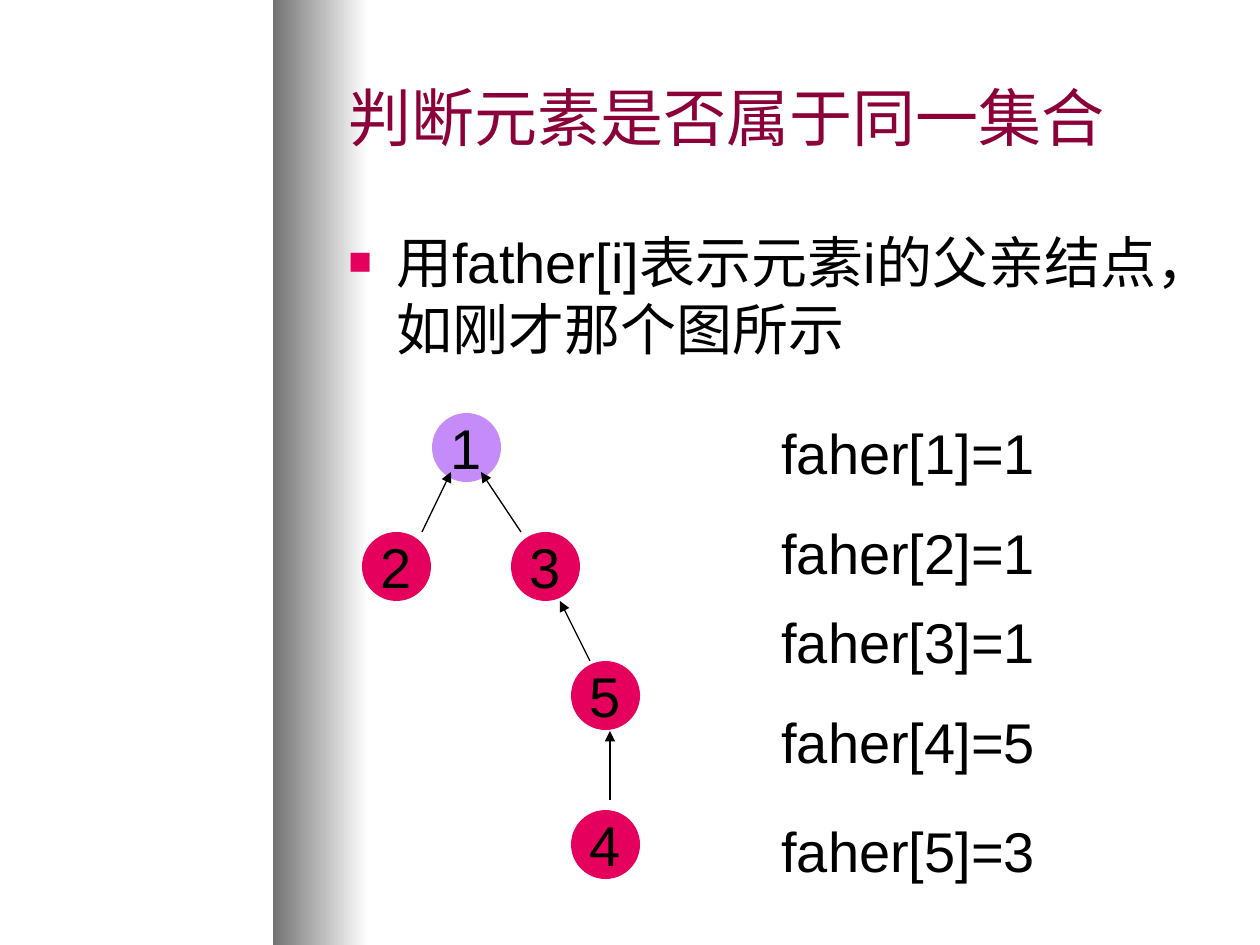
"""Build a slide on storing the parent of each element in a disjoint set."""
from lxml.etree import SubElement
from pptx import Presentation
from pptx.dml.color import RGBColor
from pptx.enum.shapes import MSO_CONNECTOR, MSO_SHAPE
from pptx.enum.text import MSO_ANCHOR, PP_ALIGN
from pptx.oxml.ns import qn
from pptx.util import Emu, Pt

TITLE = "判断元素是否属于同一集合"
BODY = "用father[i]表示元素i的父亲结点，如刚才那个图所示"
BLACK, WHITE, GRAY = "000000", "FFFFFF", "737373"
WINE, PINK, VIOLET = "8C0039", "E4005C", "C58BF9"
NODES = [
    ("1", 432, 413, VIOLET),
    ("2", 362, 532, PINK),
    ("3", 511, 532, PINK),
    ("5", 571, 661, PINK),
    ("4", 571, 810, PINK),
]
NODE_SIZE = 69
ARROWS = [
    (422, 532, 451, 472),
    (521, 532, 481, 472),
    (590, 661, 560, 601),
    (610, 800, 610, 731),
]
FACTS = [
    ("faher[1]=1", 412),
    ("faher[2]=1", 512),
    ("faher[3]=1", 601),
    ("faher[4]=5", 701),
    ("faher[5]=3", 810),
]
INDENT = 48


def px(length):
    return Emu(round(length * 914400 / 126))


def color(value):
    return RGBColor.from_string(value)


def set_all(target, values):
    for name, value in values.items():
        setattr(target, name, value)


def write(shape, text, size=32, ink=BLACK, indent=INDENT, frame=None, **paragraph_format):
    set_all(shape.text_frame, {"word_wrap": True, **(frame or {})})
    paragraph = shape.text_frame.paragraphs[0]
    set_all(paragraph, paragraph_format)
    properties = paragraph._p.get_or_add_pPr()
    properties.set("marL", str(px(indent)))
    properties.set("indent", str(-px(indent)))
    run = paragraph.add_run()
    run.text = text
    set_all(run.font, {"name": "Arial", "size": Pt(size)})
    run.font.color.rgb = color(ink)
    return properties


def add_box(slide, *bounds):
    return slide.shapes.add_textbox(*map(px, bounds))


def add_plain(slide, preset, *bounds):
    shape = slide.shapes.add_shape(preset, *map(px, bounds))
    shape.shadow.inherit = False
    shape.line.fill.background()
    return shape


def add_band(slide):
    fill = add_plain(slide, MSO_SHAPE.RECTANGLE, 273, 0, 95, 945).fill
    fill.gradient()
    fill.gradient_angle = 180
    for stop, position, value in zip(fill.gradient_stops, (0, 1), (WHITE, GRAY)):
        stop.position = position
        stop.color.rgb = color(value)


def add_bullet(properties):
    SubElement(SubElement(properties, qn("a:buClr")), qn("a:srgbClr"), val=PINK)
    SubElement(properties, qn("a:buSzPct"), val="70000")
    SubElement(properties, qn("a:buFont"), typeface="Arial")
    SubElement(properties, qn("a:buChar"), char="■")


def add_node(slide, label, left, top, value):
    shape = add_plain(slide, MSO_SHAPE.OVAL, left, top, NODE_SIZE, NODE_SIZE)
    shape.fill.solid()
    shape.fill.fore_color.rgb = color(value)
    frame = {"word_wrap": False, "vertical_anchor": MSO_ANCHOR.MIDDLE}
    write(shape, label, frame=frame, alignment=PP_ALIGN.CENTER, space_before=Pt(8))


def add_arrow(slide, *ends):
    connector = slide.shapes.add_connector(MSO_CONNECTOR.STRAIGHT, *map(px, ends))
    connector.line.color.rgb = color(BLACK)
    connector.line.width = Pt(0.75)
    SubElement(connector.line._get_or_add_ln(), qn("a:tailEnd"), type="triangle")
    SubElement(connector._element.spPr, qn("a:effectLst"))


def main():
    presentation = Presentation()
    set_all(presentation, {"slide_width": px(1260), "slide_height": px(945)})
    slide = presentation.slides.add_slide(presentation.slide_layouts[6])
    add_band(slide)
    write(add_box(slide, 336, 32, 882, 168), TITLE, 36, WINE, 0,
          {"vertical_anchor": MSO_ANCHOR.MIDDLE})
    add_bullet(write(add_box(slide, 336, 221, 882, 620), BODY, space_before=Pt(8)))
    for node in NODES:
        add_node(slide, *node)
    for arrow in ARROWS:
        add_arrow(slide, *arrow)
    for text, top in FACTS:
        write(add_box(slide, 769, top, 328, 81), text, space_before=Pt(20))
    presentation.save("out.pptx")


if __name__ == "__main__":
    main()
